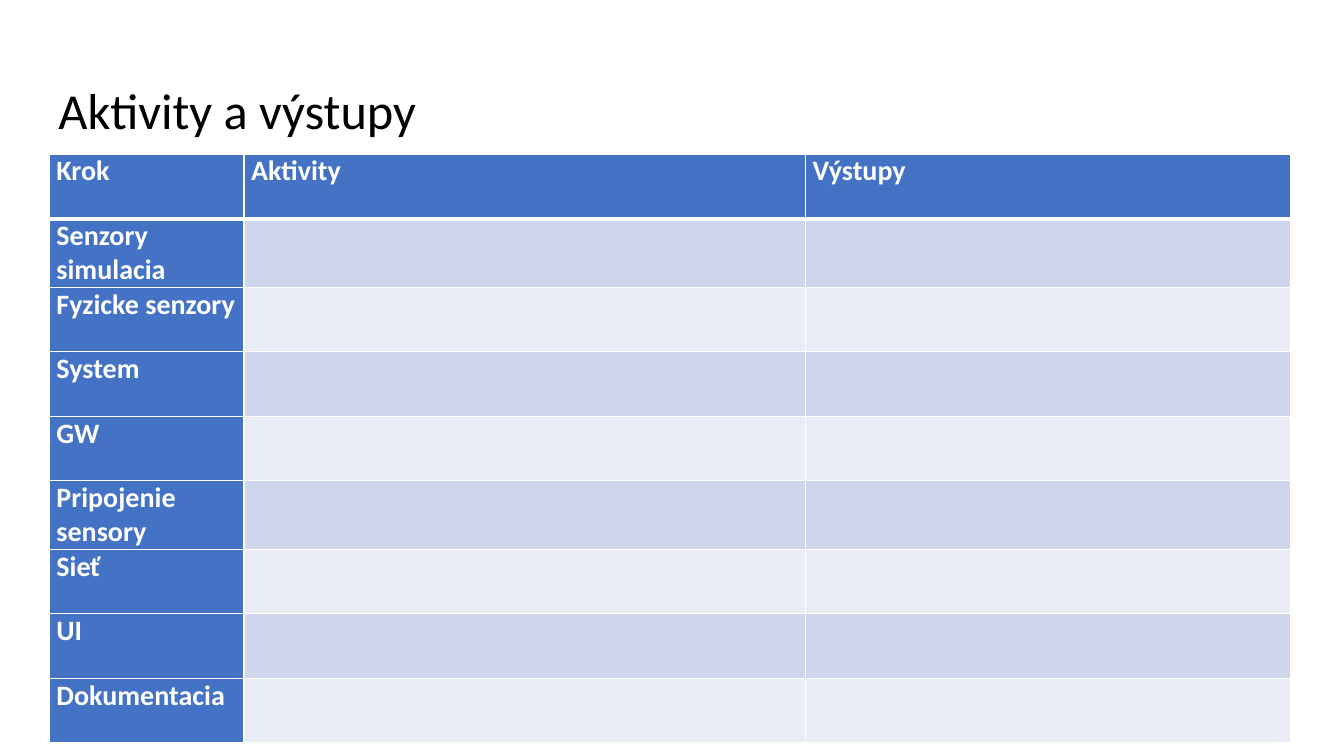
from pptx import Presentation
from pptx.dml.color import RGBColor
from pptx.enum.text import MSO_ANCHOR, MSO_AUTO_SIZE, PP_ALIGN
from pptx.util import Inches, Pt
from lxml.etree import SubElement
from pptx.oxml.ns import qn

THEME = {
    "font": "Calibri", "title_size": 36, "table_size": 20,
    "black": "000000", "white": "FFFFFF", "header": "4472C4",
    "bands": ("CFD5EA", "E9EBF5"),
}
HEADINGS = ["Krok", "Aktivity", "Výstupy"]
STEPS = ["Senzory simulacia", "Fyzicke senzory", "System", "GW",
         "Pripojenie sensory", "Sieť", "UI", "Dokumentacia "]
COLUMN_WIDTHS = [1.93, 5.57, 4.81]
ROW_HEIGHT = 0.64


def write_text(frame, text, size, color, bold):
    para = frame.paragraphs[0]
    span = para.add_run()
    span.text = text
    style = {"name": THEME["font"], "size": Pt(size), "bold": bold}
    for name, value in style.items():
        setattr(span.font, name, value)
    span.font.color.rgb = RGBColor.from_string(color)
    return para


def add_border(cell, side, points):
    line = SubElement(cell._tc.get_or_add_tcPr(), qn(f"a:ln{side}"), w=str(Pt(points)))
    fill = SubElement(line, qn("a:solidFill"))
    SubElement(fill, qn("a:srgbClr"), val=THEME["white"])


deck = Presentation()
deck.slide_width, deck.slide_height = Inches(13.33), Inches(7.5)
slide = deck.slides.add_slide(deck.slide_layouts[5])

# Title
title = slide.shapes.title
place = {"left": 0.48, "top": 0.4, "width": 12.29, "height": 1.45}
for name, value in place.items():
    setattr(title, name, Inches(value))
title_format = {"vertical_anchor": MSO_ANCHOR.MIDDLE, "word_wrap": True,
                "auto_size": MSO_AUTO_SIZE.NONE}
for name, value in title_format.items():
    setattr(title.text_frame, name, value)
para = write_text(title.text_frame, "Aktivity a výstupy",
                  THEME["title_size"], THEME["black"], False)
para.alignment = PP_ALIGN.LEFT
para.line_spacing = 0.9

# Table of steps, with empty cells for activities and outputs
rows = [HEADINGS] + [[step, "", ""] for step in STEPS]
table = slide.shapes.add_table(
    len(rows), len(HEADINGS), Inches(0.49), Inches(1.53),
    Inches(sum(COLUMN_WIDTHS)), Inches(ROW_HEIGHT * len(rows))).table
table.first_col = True
for column, width in zip(table.columns, COLUMN_WIDTHS):
    column.width = Inches(width)

margins = {"margin_left": 0.07, "margin_right": 0.07,
           "margin_top": 0, "margin_bottom": 0}
for row_index, texts in enumerate(rows):
    table.rows[row_index].height = Inches(ROW_HEIGHT)
    for column_index, text in enumerate(texts):
        cell = table.cell(row_index, column_index)
        for name, value in margins.items():
            setattr(cell, name, Inches(value))
        # A thick rule separates the heading row from the steps
        for side in "LRTB":
            thick = (row_index, side) in ((0, "B"), (1, "T"))
            add_border(cell, side, 3 if thick else 1)
        is_header = row_index == 0 or column_index == 0
        color = THEME["header"] if is_header else THEME["bands"][(row_index - 1) % 2]
        cell.fill.solid()
        cell.fill.fore_color.rgb = RGBColor.from_string(color)
        if text:
            write_text(cell.text_frame, text, THEME["table_size"], THEME["white"], True)

deck.save("out.pptx")
